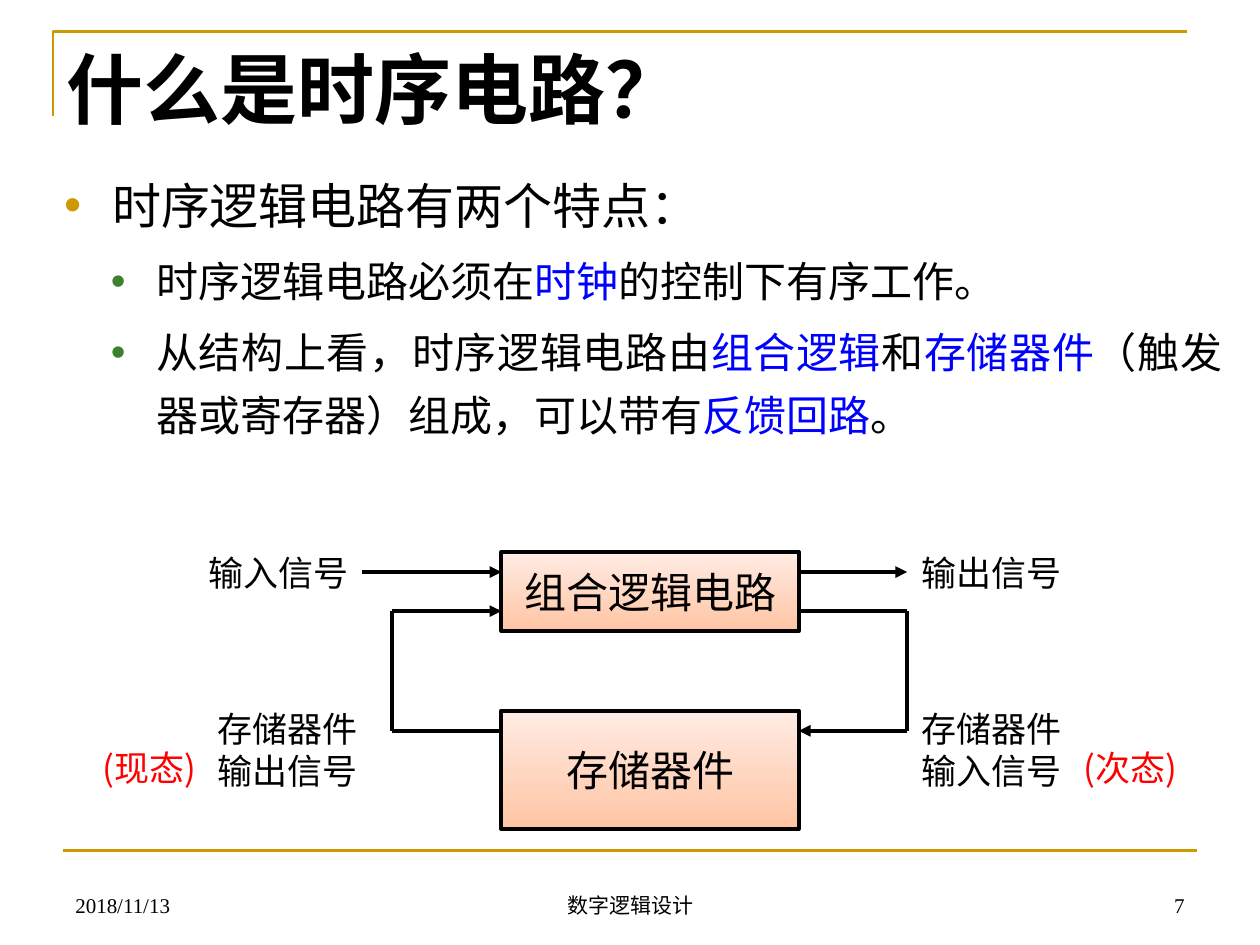
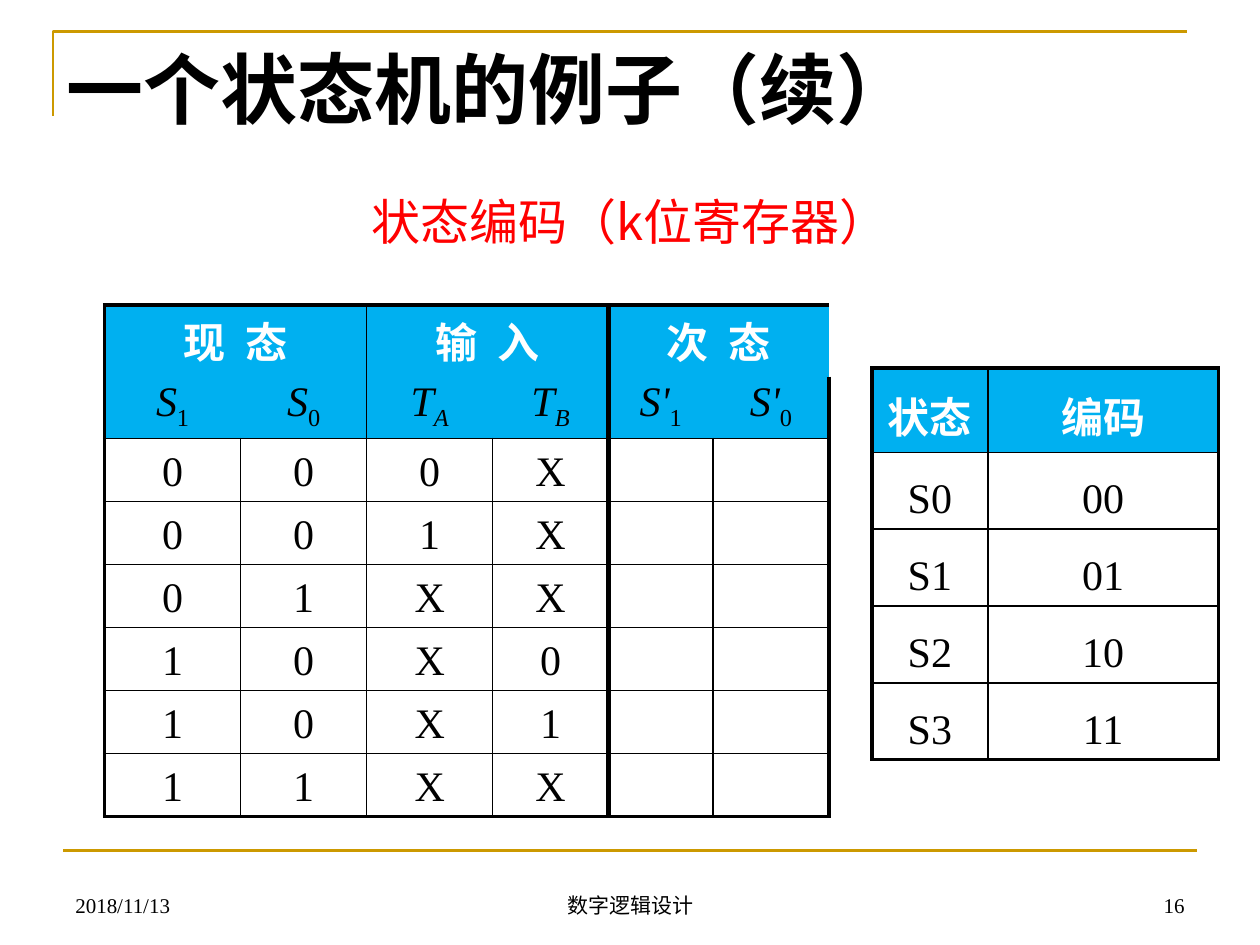
from lxml import etree
from pptx import Presentation
from pptx.dml.color import RGBColor
from pptx.enum import shapes, text
from pptx.oxml import ns
from pptx.util import Inches, Pt

BLACK = RGBColor(0x00, 0x00, 0x00)
WHITE = RGBColor(0xFF, 0xFF, 0xFF)
GOLD = RGBColor(0xCC, 0x99, 0x00)
GREEN = RGBColor(0x3B, 0x81, 0x2F)
BLUE = RGBColor(0x00, 0x00, 0xFF)
RED = RGBColor(0xFF, 0x00, 0x00)
SKY = RGBColor(0x00, 0xB0, 0xF0)
PEACH = RGBColor(0xFF, 0xC4, 0xA3)
PALE_PEACH = RGBColor(0xFF, 0xEC, 0xE4)

HAN = "Noto Sans CJK SC"
SERIF = "Times New Roman"
LEFT, CENTER, RIGHT = text.PP_ALIGN.LEFT, text.PP_ALIGN.CENTER, text.PP_ALIGN.RIGHT
MIDDLE, BOTTOM = text.MSO_ANCHOR.MIDDLE, text.MSO_ANCHOR.BOTTOM
TITLE_AND_LIST, TITLE_ONLY = 1, 5


def child(parent, tag, **attributes):
    return etree.SubElement(parent, ns.qn(tag), attributes)


def inches(values):
    return [Inches(value) for value in values]


def style(para, size, color=BLACK, name=HAN, bold=False):
    font = para.font
    font.size, font.name, font.bold = Pt(size), name, bold
    font.color.rgb = color
    latin = para._p.pPr.find(ns.qn("a:defRPr")).find(ns.qn("a:latin"))
    east_asian = latin.makeelement(ns.qn("a:ea"), {"typeface": HAN})
    latin.addnext(east_asian)


class Deck:
    def __init__(self):
        self.deck = Presentation()
        self.deck.slide_width, self.deck.slide_height = Inches(10), Inches(7.5)
        self.page = None

    def new_page(self, layout, title, number):
        self.page = self.deck.slides.add_slide(self.deck.slide_layouts[layout])
        self.bands()
        for frame, words, align in (
            ((0.5, 6.83, 2.33, 0.5), "2018/11/13", LEFT),
            ((3.42, 6.83, 3.17, 0.5), "数字逻辑设计", CENTER),
            ((7.17, 6.83, 2.33, 0.5), str(number), RIGHT),
        ):
            self.label(frame, words, 12, align=align, name=SERIF, anchor=BOTTOM)
        box = self.page.shapes.title
        self.place(box, (0.43, 0.28, 7.72, 0.83))
        self.set_words(box, title, 44, align=LEFT, bold=True)

    def bands(self):
        builder = self.page.shapes.build_freeform(Inches(0.42), Inches(0.92))
        corner = [(Inches(0.42), Inches(0.25)), (Inches(9.42), Inches(0.25))]
        builder.add_line_segments(corner, close=False)
        bracket = builder.convert_to_shape()
        bracket.shadow.inherit = False
        bracket.fill.background()
        bracket.line.color.rgb, bracket.line.width = GOLD, Pt(1.5)
        self.line((0.5, 6.75), (9.5, 6.75), GOLD, 1.5)

    def place(self, box, frame):
        box.left, box.top, box.width, box.height = inches(frame)

    def set_words(self, box, words, size, align=CENTER, anchor=MIDDLE, **look):
        frame = box.text_frame
        frame.word_wrap, frame.vertical_anchor = True, anchor
        frame.auto_size = text.MSO_AUTO_SIZE.NONE
        para = frame.paragraphs[0]
        para.text, para.alignment = words, align
        style(para, size, **look)
        return para

    def label(self, frame, words, size=20, **look):
        box = self.page.shapes.add_textbox(*inches(frame))
        return self.set_words(box, words, size, **look)

    def block(self, frame, words):
        box = self.page.shapes.add_shape(shapes.MSO_SHAPE.RECTANGLE, *inches(frame))
        box.shadow.inherit = False
        box.fill.gradient()
        box.fill.gradient_angle = 90
        for stop, color in zip(box.fill.gradient_stops, (PEACH, PALE_PEACH)):
            stop.color.rgb = color
        box.line.color.rgb, box.line.width = BLACK, Pt(2.25)
        self.set_words(box, words, 24)

    def line(self, start, end, color=BLACK, width=2.25, arrow=False):
        line = self.page.shapes.add_connector(
            shapes.MSO_CONNECTOR.STRAIGHT, *inches(start + end))
        line.line.color.rgb, line.line.width = color, Pt(width)
        properties = line._element.spPr
        if arrow:
            child(properties.find(ns.qn("a:ln")), "a:tailEnd", type="triangle")
        child(properties, "a:effectLst")

    def bullets(self, frame, items):
        """Fill the body with (level, words); words between bars are blue."""
        box = self.page.placeholders[1]
        self.place(box, frame)
        box.text_frame.auto_size = text.MSO_AUTO_SIZE.NONE
        levels = ((28, GOLD, 0.38, 0.38), (24, GREEN, 0.73, 0.36))
        for index, (level, words) in enumerate(items):
            size, color, margin, hanging = levels[level]
            paragraphs = box.text_frame.paragraphs
            para = box.text_frame.add_paragraph() if index else paragraphs[0]
            properties = para._p.get_or_add_pPr()
            properties.set("marL", str(Inches(margin)))
            properties.set("indent", str(-Inches(hanging)))
            child(child(properties, "a:buClr"), "a:srgbClr", val=str(color))
            child(properties, "a:buFont", typeface="Arial")
            child(properties, "a:buChar", char="•")
            para.level, para.alignment = level, text.PP_ALIGN.JUSTIFY
            para.line_spacing, para.space_before = Pt(36), Pt(size * 0.2)
            style(para, size)
            for part, piece in enumerate(words.split("|")):
                span = para.add_run()
                span.text = piece
                if part % 2:
                    span.font.color.rgb = BLUE

    def table(self, corner, widths, heights, rows, heading_rows=1, pair=1, thick=None):
        """Draw a grid whose heading joins columns in groups of `pair`."""
        size = (sum(widths), sum(heights))
        table = self.page.shapes.add_table(
            len(rows), len(widths), *inches(corner + size)).table
        table.first_row = table.horz_banding = False
        for column, width in zip(table.columns, widths):
            column.width = Inches(width)
        for row, height in zip(table.rows, heights):
            row.height = Inches(height)

        def upright(row, edge):
            if edge in (0, len(widths)):
                return 2.25
            if row < heading_rows and edge % pair:
                return 0
            return 3 if edge == thick else 1

        def level(edge):
            if edge in (0, len(rows)):
                return 2.25
            return 0 if edge < heading_rows else 1

        for r, row in enumerate(rows):
            for c, words in enumerate(row):
                cell = table.cell(r, c)
                self.borders(cell, L=upright(r, c), R=upright(r, c + 1),
                             T=level(r), B=level(r + 1))
                if r < heading_rows:
                    cell.fill.solid()
                    cell.fill.fore_color.rgb = SKY
                else:
                    cell.fill.background()
                cell.vertical_anchor, cell.margin_top = BOTTOM, 0
                if words:
                    self.cell_text(cell, words, heading=r == 0)
        if pair > 1:
            for c in range(0, len(widths), pair):
                table.cell(0, c).merge(table.cell(0, c + pair - 1))

    def borders(self, cell, **widths):
        properties = cell._tc.get_or_add_tcPr()
        for side, width in widths.items():
            edge = child(properties, "a:ln" + side, w=str(Pt(width)))
            if width:
                child(child(edge, "a:solidFill"), "a:srgbClr", val=str(BLACK))
            else:
                child(edge, "a:noFill")

    def cell_text(self, cell, words, heading):
        """Fill a cell; an underscore starts a subscript."""
        para = cell.text_frame.paragraphs[0]
        para.alignment = CENTER
        if heading:
            style(para, 24, WHITE, bold=True)
        else:
            style(para, 24, name=SERIF)
        symbol, _, index = words.partition("_")
        span = para.add_run()
        span.text = symbol
        if " " in symbol:
            span.font._element.set("spc", "300")
        if index:
            span.font.italic = True
            lower = para.add_run()
            lower.text = index
            lower.font.italic = index.isalpha()
            lower.font._element.set("baseline", "-25000")


def sequential_circuit(deck):
    deck.new_page(TITLE_AND_LIST, "什么是时序电路？", 7)
    deck.bullets((0.41, 1.31, 9.39, 3.7), (
        (0, "时序逻辑电路有两个特点："),
        (1, "时序逻辑电路必须在|时钟|的控制下有序工作。"),
        (1, "从结构上看，时序逻辑电路由|组合逻辑|和|存储器件|"
            "（触发器或寄存器）组成，可以带有|反馈回路|。"),
    ))
    block_left, block_width = 3.98, 2.36
    block_right = block_left + block_width
    deck.block((block_left, 4.38, block_width, 0.63), "组合逻辑电路")
    deck.block((block_left, 5.64, block_width, 0.94), "存储器件")

    signal, feedback, storage = 4.54, 4.85, 5.8
    loop_left, loop_right = 3.11, 7.2
    for start, end, arrow in (
        ((2.87, signal), (block_left, signal), True),
        ((block_right, signal), (loop_right, signal), True),
        ((block_right, feedback), (loop_right, feedback), False),
        ((loop_right, feedback), (loop_right, storage), False),
        ((loop_right, storage), (block_right, storage), True),
        ((block_left, storage), (loop_left, storage), False),
        ((loop_left, storage), (loop_left, feedback), False),
        ((loop_left, feedback), (block_left, feedback), True),
    ):
        deck.line(start, end, arrow=arrow)

    for left, top, width, height, words, color in (
        (1.54, 4.32, 1.34, 0.44, "输入信号", BLACK),
        (7.2, 4.32, 1.34, 0.44, "输出信号", BLACK),
        (7.2, 5.56, 1.34, 0.77, "存储器件输入信号", BLACK),
        (1.61, 5.56, 1.34, 0.77, "存储器件输出信号", BLACK),
        (8.45, 5.71, 1.04, 0.77, "(次态)", RED),
        (0.67, 5.71, 1.04, 0.77, "(现态)", RED),
    ):
        para = deck.label((left, top, width, height), words, color=color)
        para.line_spacing = Pt(24)


def state_machine(deck):
    deck.new_page(TITLE_ONLY, "一个状态机的例子（续）", 16)
    deck.label((2.48, 1.47, 5.04, 0.57), "状态编码（k位寄存器）", 28, color=RED)
    transitions = ("000X", "001X", "01XX", "10X0", "10X1", "11XX")
    rows = [
        ("现 态", "", "输 入", "", "次 态", ""),
        ("S_1", "S_0", "T_A", "T_B", "S'_1", "S'_0"),
        *((*states, "", "") for states in transitions),
    ]
    deck.table((0.83, 2.42), (1.08, 1, 1, 0.92, 0.83, 0.92),
               [0.57, 0.49] + [0.5] * len(transitions), rows,
               heading_rows=2, pair=2, thick=4)
    codes = [(f"S{state}", f"{state:02b}") for state in range(4)]
    deck.table((6.92, 2.92), (0.92, 1.83), [0.67] + [0.61] * len(codes),
               [("状态", "编码"), *codes])


def main():
    deck = Deck()
    sequential_circuit(deck)
    state_machine(deck)
    deck.deck.save("out.pptx")


if __name__ == "__main__":
    main()
